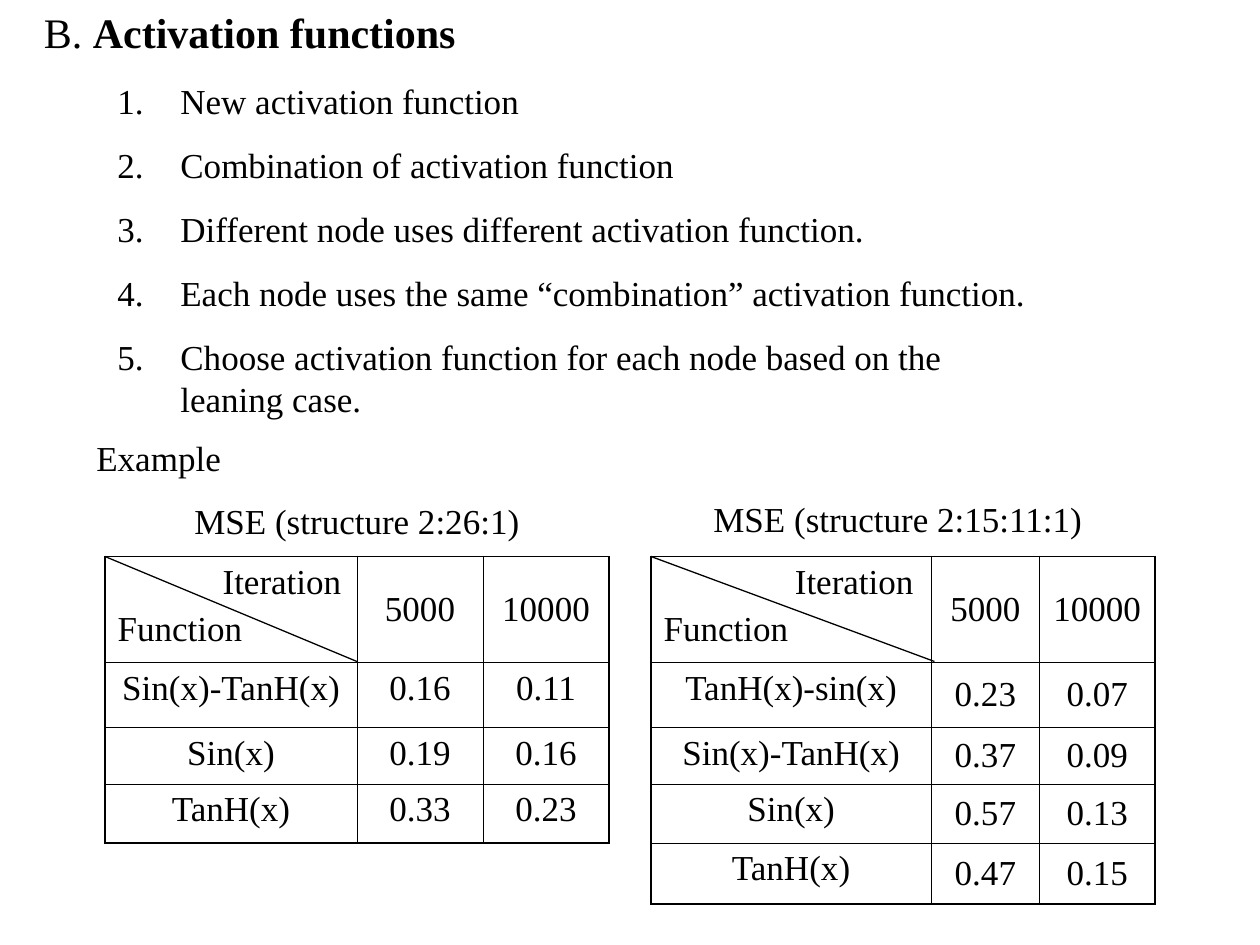
from lxml import etree
from pptx import Presentation
from pptx import util as u
from pptx.dml.color import RGBColor
from pptx.enum import shapes, text
from pptx.oxml import ns

INK = {"text": "000000", "rule": "000000"}
FONT = "Times New Roman"
LEFT, MID = text.PP_ALIGN.LEFT, text.PP_ALIGN.CENTER

deck = Presentation()
deck.slide_width, deck.slide_height = u.Inches(10), u.Inches(7.5)
slide = deck.slides.add_slide(deck.slide_layouts[6])
UNIT = deck.slide_width // 120  # the grid has 120 columns and 90 rows


def write(frame, lines, size=20, align=LEFT, gap=12.5):
    """Fill a frame; each line is a list of (words, bold) runs."""
    frame.word_wrap = True
    for i, line in enumerate(lines):
        para = frame.paragraphs[0] if i == 0 else frame.add_paragraph()
        para.alignment = align
        if i:
            para.space_before = u.Pt(gap)
        for words, bold in line:
            run = para.add_run()
            run.text = words
            run.font.name, run.font.size, run.font.bold = FONT, u.Pt(size), bold
            run.font.color.rgb = RGBColor.from_string(INK["text"])


def add_box(x, y, w, h, lines, **look):
    box = slide.shapes.add_textbox(*[int(n * UNIT) for n in (x, y, w, h)])
    write(box.text_frame, lines, **look)
    box.text_frame.auto_size = text.MSO_AUTO_SIZE.SHAPE_TO_FIT_TEXT
    return box


# Heading and example label
add_box(3, 0, 48, 6, [[("B. ", False), ("Activation functions", True)]], size=24)
add_box(8, 41, 17, 5.3, [[("Example", False)]])

# Numbered list
ideas = [
    "New activation function",
    "Combination of activation function",
    "Different node uses different activation function.",
    "Each node uses the same “combination” activation function.",
    "Choose activation function for each node based on the leaning case.",
]
box = add_box(10, 7, 90, 33.6, [[(idea, False)] for idea in ideas])
for para in box.text_frame.paragraphs:
    props = para._p.get_or_add_pPr()
    props.set("marL", str(6 * UNIT))
    props.set("indent", str(-6 * UNIT))
    etree.SubElement(props, ns.qn("a:buAutoNum"), type="arabicPeriod")

# Result tables: left edge, column widths, header indent, diagonal width,
# anchor of the values, body rows
TOP, ROWS = 53, [10.1, 6.2, 5.4, 5.6, 5.8]
HIGH, CENTER = text.MSO_ANCHOR.TOP, text.MSO_ANCHOR.MIDDLE
tables = [
    (10, [24, 12, 12], 10, 24, HIGH, [
        ("Sin(x)-TanH(x)", "0.16", "0.11"),
        ("Sin(x)", "0.19", "0.16"),
        ("TanH(x)", "0.33", "0.23")]),
    (62, [26.7, 10.3, 11], 12.5, 27, CENTER, [
        ("TanH(x)-sin(x)", "0.23", "0.07"),
        ("Sin(x)-TanH(x)", "0.37", "0.09"),
        ("Sin(x)", "0.57", "0.13"),
        ("TanH(x)", "0.47", "0.15")]),
]
for x, cols, inset, slant, anchor, body in tables:
    rows = [(None, "5000", "10000")] + body
    tall = ROWS[:len(rows)]
    grid = slide.shapes.add_table(
        len(rows), len(cols), x * UNIT, TOP * UNIT,
        int(sum(cols) * UNIT), int(sum(tall) * UNIT)).table
    grid.first_row = grid.horz_banding = False
    for c, w in enumerate(cols):
        grid.columns[c].width = int(w * UNIT)
    for r, h in enumerate(tall):
        grid.rows[r].height = int(h * UNIT)
        for c, words in enumerate(rows[r]):
            cell = grid.cell(r, c)
            if words is None:
                # Split header: upper label indented, lower label at the left
                write(cell.text_frame,
                      [[("Iteration", False)], [("Function", False)]], gap=5)
                upper = cell.text_frame.paragraphs[0]._p.get_or_add_pPr()
                upper.set("marL", str(int(inset * UNIT)))
            else:
                write(cell.text_frame, [[(words, False)]], align=MID)
                if c:
                    cell.vertical_anchor = anchor if r else CENTER

            # Heavy outer frame, thin inner rules
            outer = {"L": c == 0, "R": c == len(cols) - 1,
                     "T": r == 0, "B": r == len(rows) - 1}
            props = cell._tc.get_or_add_tcPr()
            for side, heavy in outer.items():
                edge = etree.SubElement(props, ns.qn("a:ln" + side),
                                        w=str(u.Pt(1.08 if heavy else 0.45)))
                fill = etree.SubElement(edge, ns.qn("a:solidFill"))
                etree.SubElement(fill, ns.qn("a:srgbClr"), val=INK["rule"])
            cell.fill.background()

    # Diagonal of the header cell
    line = slide.shapes.add_connector(
        shapes.MSO_CONNECTOR.STRAIGHT, x * UNIT, TOP * UNIT,
        (x + slant) * UNIT, (TOP + 10) * UNIT)
    line.line.color.rgb = RGBColor.from_string(INK["rule"])
    line.line.width = u.Pt(0.75)
    etree.SubElement(line._element.spPr, ns.qn("a:effectLst"))

# Table captions
for x, y, w, words in [(10, 47, 48, "MSE (structure 2:26:1)"),
                       (63, 46.8, 45, "MSE (structure 2:15:11:1)")]:
    add_box(x, y, w, 5.3, [[(words, False)]], align=MID)

deck.save("out.pptx")
